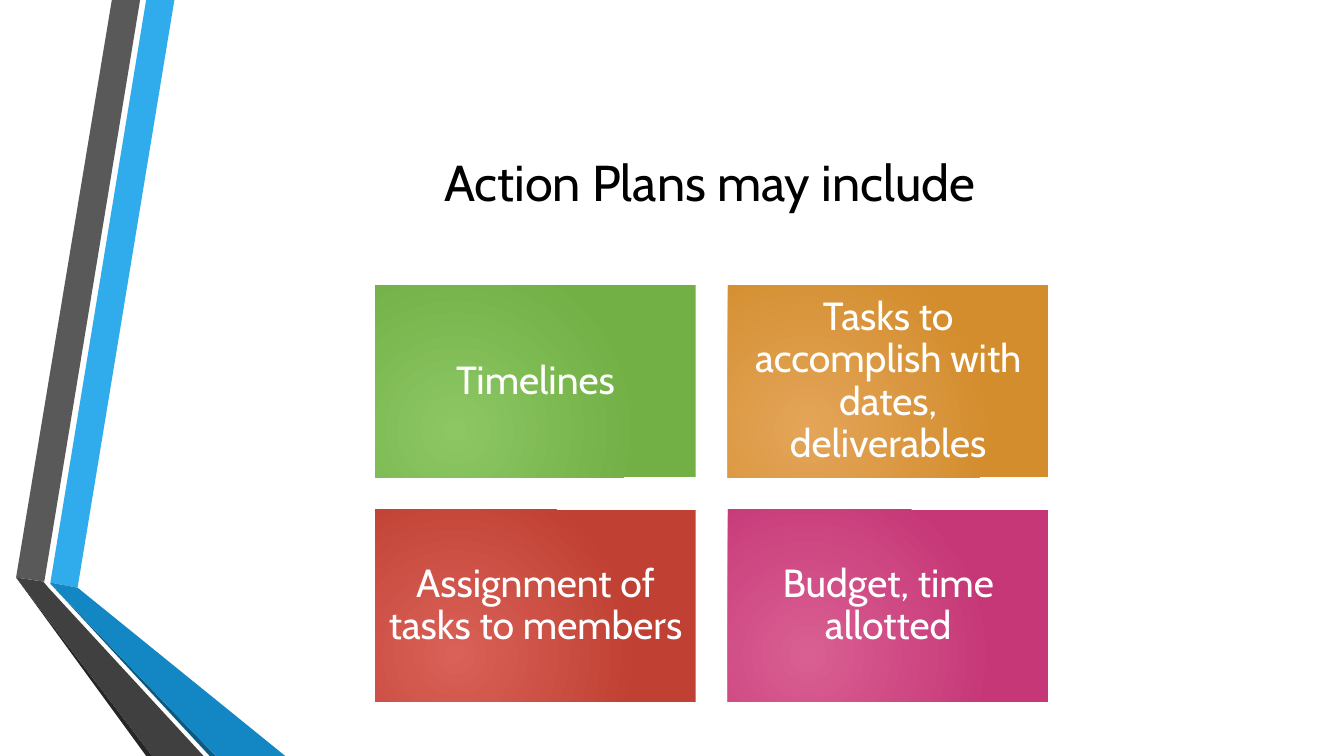
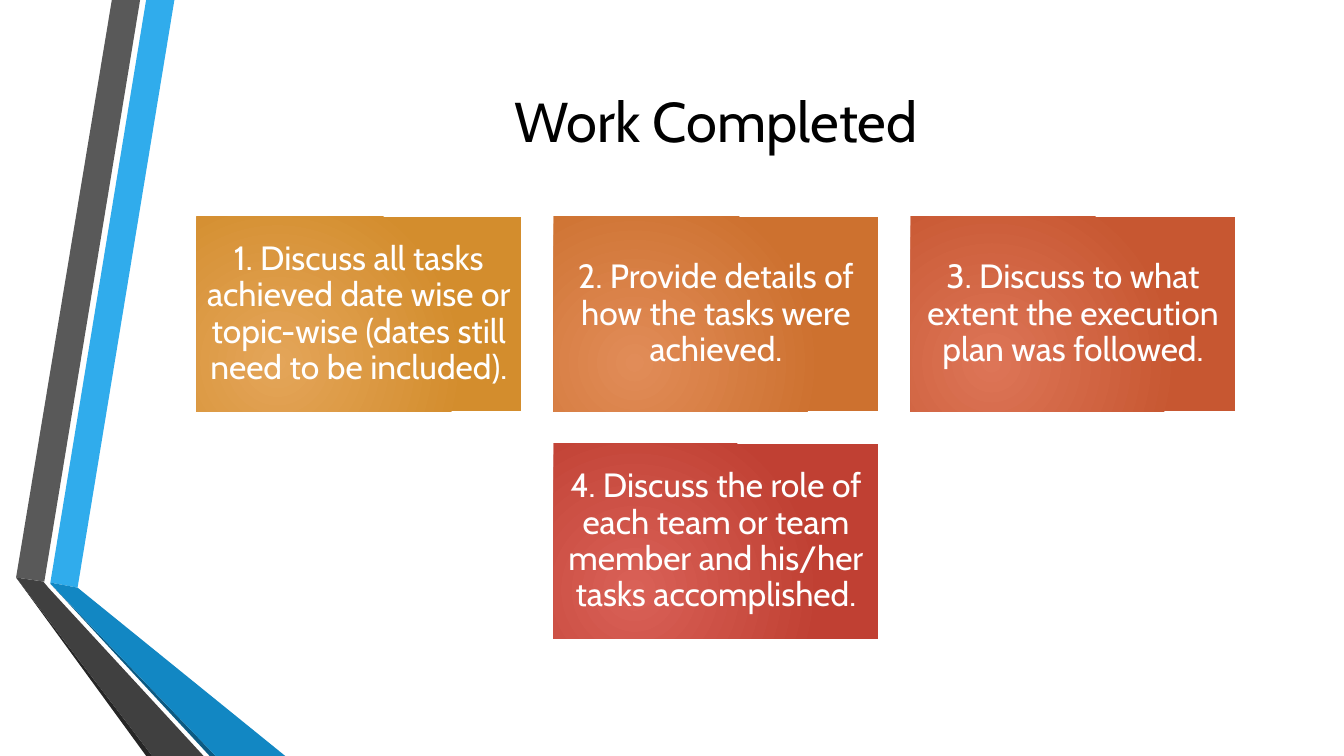
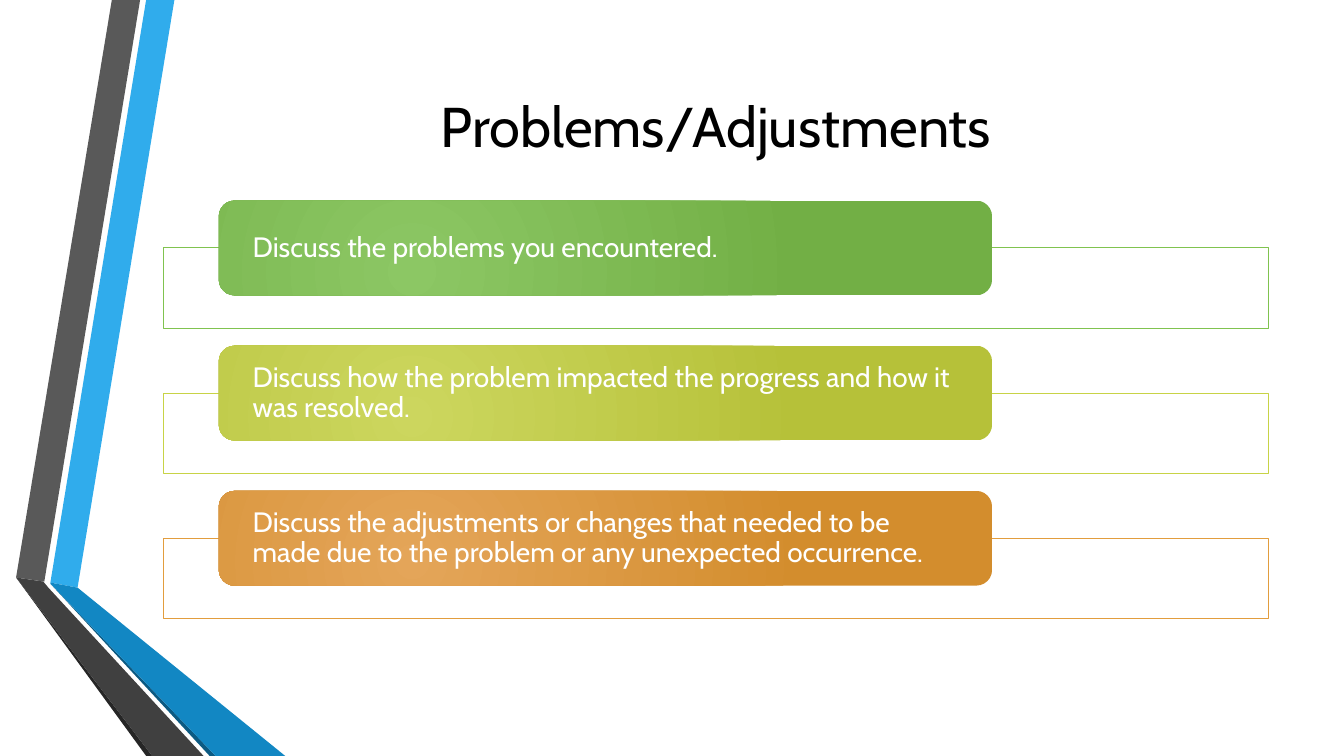
from lxml import etree
from pptx import Presentation
from pptx import util as u
from pptx.dml.color import RGBColor
from pptx.enum import shapes, text
from pptx.oxml.ns import qn

FONT = "Cabin"
COLORS = {
    "black": "000000", "white": "FFFFFF",
    "sky": "30ACEC", "blue": "1287C3", "navy": "0C5A82",
    "gray": "595959", "charcoal": "404040", "ink": "262626",
    "green edge": "80C34F", "lime edge": "C8D346", "amber edge": "E29D3E",
}
GRADIENTS = {
    "green": ("8CC764", "72AF45"), "lime": ("CCD65E", "B6C139"),
    "amber": ("E4A559", "D38D2D"), "orange": ("E18C58", "CD712F"),
    "rust": ("DD7557", "C75731"), "red": ("D96157", "C04033"),
    "pink": ("D95F92", "C63777"),
}
RIBBONS = [
    ("sky", [(0.5, 5.78), (0.77, 5.83), (1.73, 0), (1.45, 0)]),
    ("gray", [(1.39, 0), (1.11, 0), (0.16, 5.73), (0.44, 5.77)]),
    ("ink", [(0.16, 5.73), (1.45, 7.5), (1.51, 7.5)]),
    ("navy", [(0.5, 5.79), (2.08, 7.5), (2.14, 7.5)]),
    ("blue", [(0.5, 5.79), (2.14, 7.5), (2.83, 7.5), (0.77, 5.83), (0.5, 5.78)]),
    ("charcoal", [(2.02, 7.5), (0.48, 5.83), (0.43, 5.77), (0.16, 5.73), (1.51, 7.5)]),
]
CARD_SLIDES = [
    {"title": ("Action Plans may include", (1.56, 1.43, 10.96, 0.73), 36),
     "center": 7.06, "top": 2.83, "width": 3.18, "size": 28, "inset": 0.12,
     "rows": [
         [("Timelines", "green"),
          ("Tasks to accomplish with dates, deliverables", "amber")],
         [("Assignment of tasks to members", "red"),
          ("Budget, time allotted", "pink")]]},
    {"title": ("Work Completed", (1.62, 0.75, 10.96, 0.88), 40),
     "center": 7.1, "top": 2.15, "width": 3.22, "size": 24, "inset": 0.1,
     "rows": [
         [("1. Discuss all tasks achieved date wise or topic-wise "
           "(dates still need to be included).", "amber"),
          ("2. Provide details of how the tasks were achieved.", "orange"),
          ("3. Discuss to what extent the execution plan was followed.", "rust")],
         [("4. Discuss the role of each team or team member and his/her "
           "tasks accomplished.", "red")]]},
]
PROBLEMS_TITLE = ("Problems/Adjustments", (1.62, 0.75, 10.96, 0.98), 40)
PROBLEMS = [
    ("Discuss the problems you encountered.", "green"),
    ("Discuss how the problem impacted the progress and how it was resolved.", "lime"),
    ("Discuss the adjustments or changes that needed to be made due to the "
     "problem or any unexpected occurrence.", "amber"),
]
FIRST_TOP, ROW_PITCH = 1.99, 1.44


def rgb(name):
    return RGBColor.from_string(COLORS[name])


def inches(values):
    return [u.Inches(v) for v in values]


def write(tf, words, size, color, align):
    tf.word_wrap = True
    tf.auto_size = text.MSO_AUTO_SIZE.NONE
    tf.vertical_anchor = text.MSO_ANCHOR.MIDDLE
    p = tf.paragraphs[0]
    p.alignment = align
    r = p.add_run()
    r.text = words
    r.font.name, r.font.size, r.font.color.rgb = FONT, u.Pt(size), rgb(color)
    return p


def add_ribbons(s, layout):
    """Draw the ribbons on a slide, then move them to its layout."""
    for color, points in RIBBONS:
        outline = [inches(point) for point in points]
        builder = s.shapes.build_freeform(*outline[0])
        builder.add_line_segments(outline[1:], close=True)
        sp = builder.convert_to_shape()
        sp.shadow.inherit = False
        sp.fill.solid()
        sp.fill.fore_color.rgb = rgb(color)
        sp.line.fill.background()
        layout.shapes._spTree.append(sp._element)


def add_titled_slide(prs, title):
    words, box, size = title
    s = prs.slides.add_slide(prs.slide_layouts[5])
    sp = s.shapes.title
    sp.left, sp.top, sp.width, sp.height = inches(box)
    write(sp.text_frame, words, size, "black", text.PP_ALIGN.CENTER)
    return s


def glow(sp, name):
    """Fill with a round gradient centred low on the left."""
    sp.fill.gradient()
    for stop, color in zip(sp.fill.gradient_stops, GRADIENTS[name]):
        stop.color.rgb = RGBColor.from_string(color)
    grad = sp._element.spPr.find(qn("a:gradFill"))
    circle = etree.Element(qn("a:path"), path="circle")
    etree.SubElement(circle, qn("a:fillToRect"),
                     l="50000", t="100000", r="100000", b="50000")
    grad.replace(grad.find(qn("a:lin")), circle)


def add_card(s, kind, box, words, gradient, size, insets, align):
    sp = s.shapes.add_shape(kind, *inches(box))
    sp.shadow.inherit = False
    glow(sp, gradient)
    sp.line.fill.background()
    tf = sp.text_frame
    side, vertical = inches(insets)
    tf.margin_left = tf.margin_right = side
    tf.margin_top = tf.margin_bottom = vertical
    write(tf, words, size, "white", align).line_spacing = 0.9


def add_frame(s, box, edge):
    sp = s.shapes.add_shape(shapes.MSO_SHAPE.RECTANGLE, *inches(box))
    sp.shadow.inherit = False
    sp.fill.solid()
    sp.fill.fore_color.rgb = rgb("white")
    tint = sp._element.spPr.find(qn("a:solidFill"))[0]
    etree.SubElement(tint, qn("a:alpha"), val="90000")
    sp.line.color.rgb = rgb(edge)
    sp.line.width = u.Pt(0.75)


def add_card_grid(s, grid):
    """Centre each row; heights and gaps are shares of the card width."""
    width = grid["width"]
    height, gap = 0.6 * width, 0.1 * width
    for i, row in enumerate(grid["rows"]):
        left = grid["center"] - (len(row) * (width + gap) - gap) / 2
        top = grid["top"] + i * (height + gap)
        for j, (words, gradient) in enumerate(row):
            add_card(s, shapes.MSO_SHAPE.RECTANGLE,
                     (left + j * (width + gap), top, width, height),
                     words, gradient, grid["size"], (grid["inset"],) * 2,
                     text.PP_ALIGN.CENTER)


def main():
    prs = Presentation()
    prs.slide_width, prs.slide_height = inches((13.33, 7.5))
    for grid in CARD_SLIDES:
        add_card_grid(add_titled_slide(prs, grid["title"]), grid)

    s = add_titled_slide(prs, PROBLEMS_TITLE)
    for i, (words, color) in enumerate(PROBLEMS):
        top = FIRST_TOP + i * ROW_PITCH
        add_frame(s, (1.62, top + 0.47, 10.96, 0.8), color + " edge")
        add_card(s, shapes.MSO_SHAPE.ROUNDED_RECTANGLE, (2.17, top, 7.67, 0.94),
                 words, color, 20, (0.29, 0), text.PP_ALIGN.LEFT)

    add_ribbons(s, s.slide_layout)
    prs.save("out.pptx")


if __name__ == "__main__":
    main()
